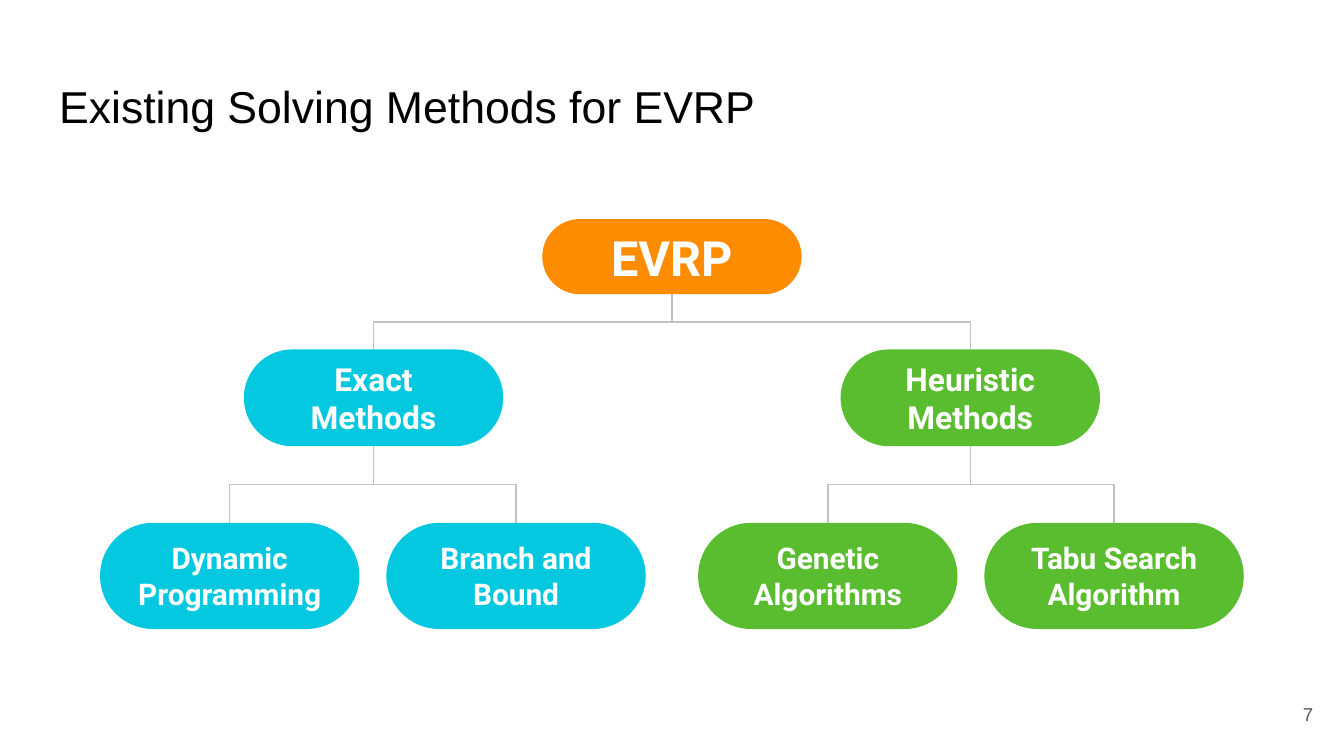
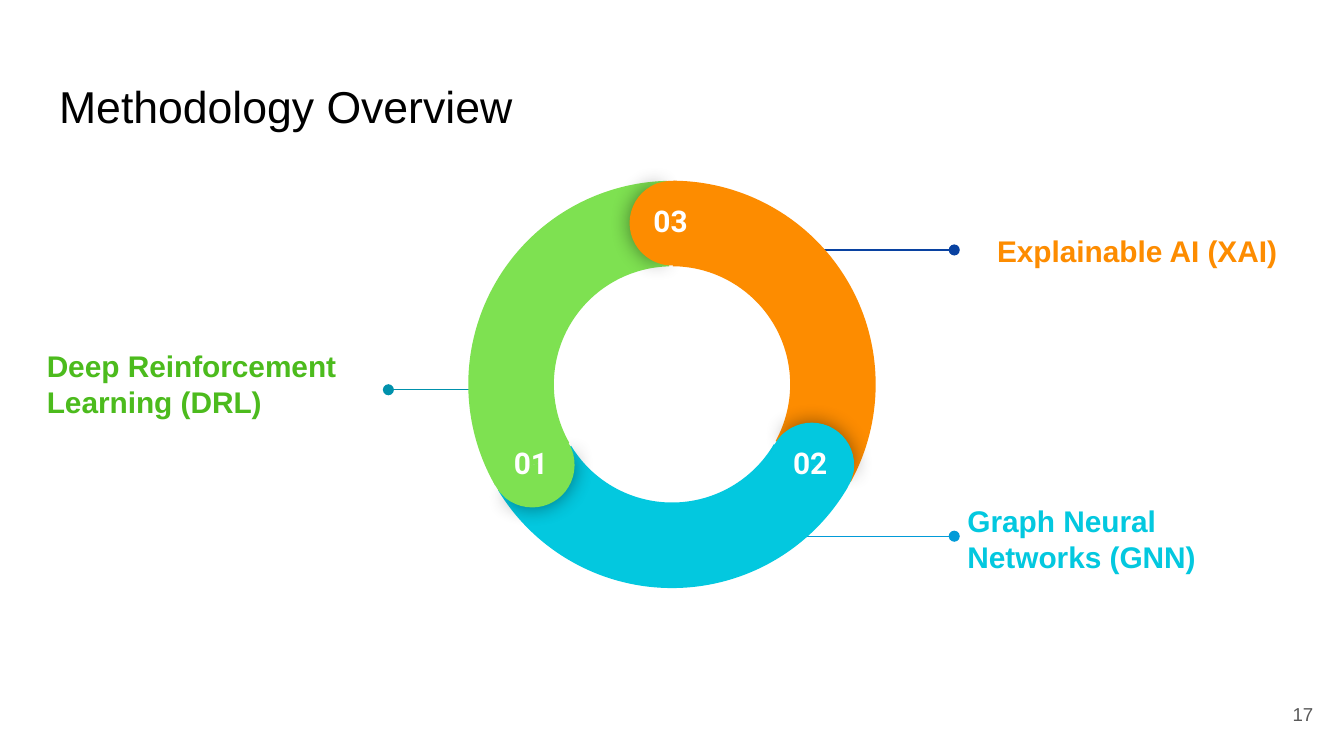
import math
from dataclasses import dataclass

import lxml.etree
import pptx
import pptx.dml.color
import pptx.enum.shapes
import pptx.enum.text
import pptx.oxml.ns
import pptx.util

Inches = pptx.util.Inches
Pt = pptx.util.Pt
RGBColor = pptx.dml.color.RGBColor
SHAPE = pptx.enum.shapes.MSO_SHAPE
CONNECTOR = pptx.enum.shapes.MSO_CONNECTOR
ALIGN = pptx.enum.text.PP_ALIGN
ANCHOR = pptx.enum.text.MSO_ANCHOR
qn = pptx.oxml.ns.qn

ORANGE = RGBColor(0xFD, 0x8C, 0x00)
CYAN = RGBColor(0x03, 0xC8, 0xDF)
GREEN = RGBColor(0x59, 0xBD, 0x2F)
LIGHT_GREEN = RGBColor(0x7E, 0xE1, 0x51)
LABEL_GREEN = RGBColor(0x4C, 0xBB, 0x1D)
TEAL = RGBColor(0x00, 0x91, 0xAC)
NAVY = RGBColor(0x09, 0x42, 0xA1)
BLUE = RGBColor(0x02, 0x9B, 0xD8)
LINE_GRAY = RGBColor(0xC2, 0xC2, 0xC2)
NUMBER_GRAY = RGBColor(0x59, 0x59, 0x59)
BLACK = RGBColor(0, 0, 0)
WHITE = RGBColor(0xFF, 0xFF, 0xFF)

NODE_WIDTH = 1.93

RING_X, RING_Y = 5, 2.86
RING_SIZE = 3.03
CAP_SIZE = 0.63
CAP_ORBIT = (RING_SIZE - CAP_SIZE) / 2
# Angle adjustments are in units of 5/3 degrees
ARC_ADJUST = (126.23, 197.2, 0.21)
SHADOW_CAP_ADJUST = (61.9, 149.96)
COVER_CAP_ADJUST = (40.28, 171.84)


@dataclass(frozen=True)
class Level:
    top: float
    height: float
    size: float


@dataclass(frozen=True)
class Node:
    text: str
    center: float
    level: Level
    color: RGBColor
    children: tuple["Node", ...] = ()


@dataclass(frozen=True)
class Segment:
    number: str
    color: RGBColor
    turn: int


@dataclass(frozen=True)
class Callout:
    text: str
    color: RGBColor
    box: tuple[float, float, float, float]
    line_color: RGBColor
    line_start: float
    line_end: float
    line_y: float


ROOT_LEVEL = Level(1.63, 0.56, 26)
GROUP_LEVEL = Level(2.6, 0.72, 17)
METHOD_LEVEL = Level(3.89, 0.79, 16)

METHOD_TREE = Node("EVRP", 5, ROOT_LEVEL, ORANGE, (
    Node("Exact Methods", 2.78, GROUP_LEVEL, CYAN, (
        Node("Dynamic Programming", 1.71, METHOD_LEVEL, CYAN),
        Node("Branch and Bound", 3.84, METHOD_LEVEL, CYAN))),
    Node("Heuristic Methods", 7.22, GROUP_LEVEL, GREEN, (
        Node("Genetic Algorithms", 6.16, METHOD_LEVEL, GREEN),
        Node("Tabu Search Algorithm", 8.29, METHOD_LEVEL, GREEN))),
))

SEGMENTS = (
    Segment("03", ORANGE, 0),
    Segment("02", CYAN, 120),
    Segment("01", LIGHT_GREEN, 240),
)

CALLOUTS = (
    Callout("Deep Reinforcement Learning (DRL)", LABEL_GREEN,
            (0.25, 2.22, 2.66, 1.27), TEAL, 3.58, 2.89, 2.9),
    Callout("Explainable AI (XAI)", ORANGE,
            (7.32, 1.16, 2.32, 1.41), NAVY, 5.7, 7.1, 1.86),
    Callout("Graph Neural Networks (GNN)", CYAN,
            (7.1, 3.3, 2.54, 1.41), BLUE, 5.7, 7.1, 3.99),
)


def write(s, text: str, *, size: float, color: RGBColor, font: str = "Arial",
          bold: bool = False, align=ALIGN.LEFT, anchor=ANCHOR.MIDDLE) -> None:
    tf = s.text_frame
    tf.word_wrap = True
    tf.auto_size = pptx.enum.text.MSO_AUTO_SIZE.NONE
    tf.vertical_anchor = anchor
    tf.margin_left = tf.margin_right = Inches(0.1)
    tf.margin_top = tf.margin_bottom = Inches(0.1)
    p = tf.paragraphs[0]
    p.alignment = align
    r = p.add_run()
    r.text = text
    r.font.name = font
    r.font.size = Pt(size)
    r.font.bold = bold
    r.font.color.rgb = color


def add_text(slide, text: str, box: tuple[float, float, float, float], **style) -> None:
    write(slide.shapes.add_textbox(*map(Inches, box)), text, **style)


def add_slide(prs, title: str, number: str):
    slide = prs.slides.add_slide(prs.slide_layouts[5])
    s = slide.shapes.title
    s.left, s.top, s.width, s.height = map(Inches, (0.34, 0.49, 9.32, 0.63))
    write(s, title, size=23.9, color=BLACK, anchor=ANCHOR.TOP)
    add_text(slide, number, (9.27, 5.1, 0.6, 0.43),
             size=10, color=NUMBER_GRAY, align=ALIGN.RIGHT)
    return slide


def add_filled(slide, kind, center: tuple[float, float], size: tuple[float, float],
               color: RGBColor, adjust: tuple[float, ...], rotation: float = 0):
    (x, y), (w, h) = center, size
    s = slide.shapes.add_shape(kind, Inches(x - w / 2), Inches(y - h / 2),
                               Inches(w), Inches(h))
    s.shadow.inherit = False
    s.fill.solid()
    s.fill.fore_color.rgb = color
    s.line.fill.background()
    for i, value in enumerate(adjust):
        s.adjustments[i] = value
    s.rotation = rotation % 360
    return s


def add_glow_shadow(s) -> None:
    effects = s._element.spPr.find(qn("a:effectLst"))
    shadow = lxml.etree.SubElement(effects, qn("a:outerShdw"),
                                   blurRad=str(Pt(11.2)), dist="0", dir="0",
                                   algn="ctr", rotWithShape="0")
    color = lxml.etree.SubElement(shadow, qn("a:srgbClr"), val="000000")
    lxml.etree.SubElement(color, qn("a:alpha"), val="43000")


def add_line(slide, kind, start: tuple[float, float], end: tuple[float, float],
             color: RGBColor):
    c = slide.shapes.add_connector(kind, *map(Inches, (*start, *end)))
    c.line.color.rgb = color
    c.line.width = Pt(0.75)
    lxml.etree.SubElement(c._element.spPr, qn("a:effectLst"))
    return c


def link(slide, parent: Node, child: Node) -> None:
    """Join parent and child by an elbow that leaves downwards.

    An elbow runs sideways first, so it is laid flat and then turned.
    """
    top = parent.level.top + parent.level.height
    drop = child.level.top - top
    run = child.center - parent.center
    x, y = (parent.center + child.center) / 2, top + drop / 2
    half = math.copysign(drop / 2, run)
    c = add_line(slide, CONNECTOR.ELBOW, (x + half, y - abs(run) / 2),
                 (x - half, y + abs(run) / 2), LINE_GRAY)
    turn = 270 if run > 0 else 90
    c._element.spPr.find(qn("a:xfrm")).set("rot", str(turn * 60000))


def draw_tree(slide, node: Node) -> None:
    level = node.level
    s = add_filled(slide, SHAPE.ROUNDED_RECTANGLE,
                   (node.center, level.top + level.height / 2),
                   (NODE_WIDTH, level.height), node.color, (0.5,))
    write(s, node.text, size=level.size, color=WHITE, font="Roboto",
          bold=True, align=ALIGN.CENTER)
    for child in node.children:
        link(slide, node, child)
        draw_tree(slide, child)


def draw_callout(slide, callout: Callout) -> None:
    add_text(slide, callout.text, callout.box, size=16, color=callout.color, bold=True)
    c = add_line(slide, CONNECTOR.STRAIGHT, (callout.line_start, callout.line_y),
                 (callout.line_end, callout.line_y), callout.line_color)
    lxml.etree.SubElement(c.line._get_or_add_ln(), qn("a:tailEnd"), type="oval")


def draw_arc(slide, segment: Segment) -> None:
    add_filled(slide, SHAPE.BLOCK_ARC, (RING_X, RING_Y), (RING_SIZE, RING_SIZE),
               segment.color, ARC_ADJUST, 60 + segment.turn)


def draw_cap(slide, segment: Segment) -> None:
    """Round the start of a segment, shade the one before it, and number it."""
    angle = math.radians(segment.turn - 90)
    x = RING_X + CAP_ORBIT * math.cos(angle)
    y = RING_Y + CAP_ORBIT * math.sin(angle)
    size = (CAP_SIZE, CAP_SIZE)
    s = add_filled(slide, SHAPE.PIE, (x, y), size, segment.color,
                   SHADOW_CAP_ADJUST, segment.turn + 0.7)
    add_glow_shadow(s)
    add_filled(slide, SHAPE.PIE, (x, y), size, segment.color,
               COVER_CAP_ADJUST, segment.turn + 180)
    add_text(slide, segment.number, (x - 0.29, y - 0.25, 0.56, 0.29), size=16,
             color=WHITE, font="Roboto", bold=True, align=ALIGN.CENTER,
             anchor=ANCHOR.TOP)


def main() -> None:
    prs = pptx.Presentation()
    prs.slide_width = Inches(10)
    prs.slide_height = prs.slide_width * 9 // 16

    draw_tree(add_slide(prs, "Existing Solving Methods for EVRP", "7"), METHOD_TREE)

    overview = add_slide(prs, "Methodology Overview", "17")
    for callout in CALLOUTS:
        draw_callout(overview, callout)
    for draw in (draw_arc, draw_cap):
        for segment in SEGMENTS:
            draw(overview, segment)

    prs.save("out.pptx")


if __name__ == "__main__":
    main()
